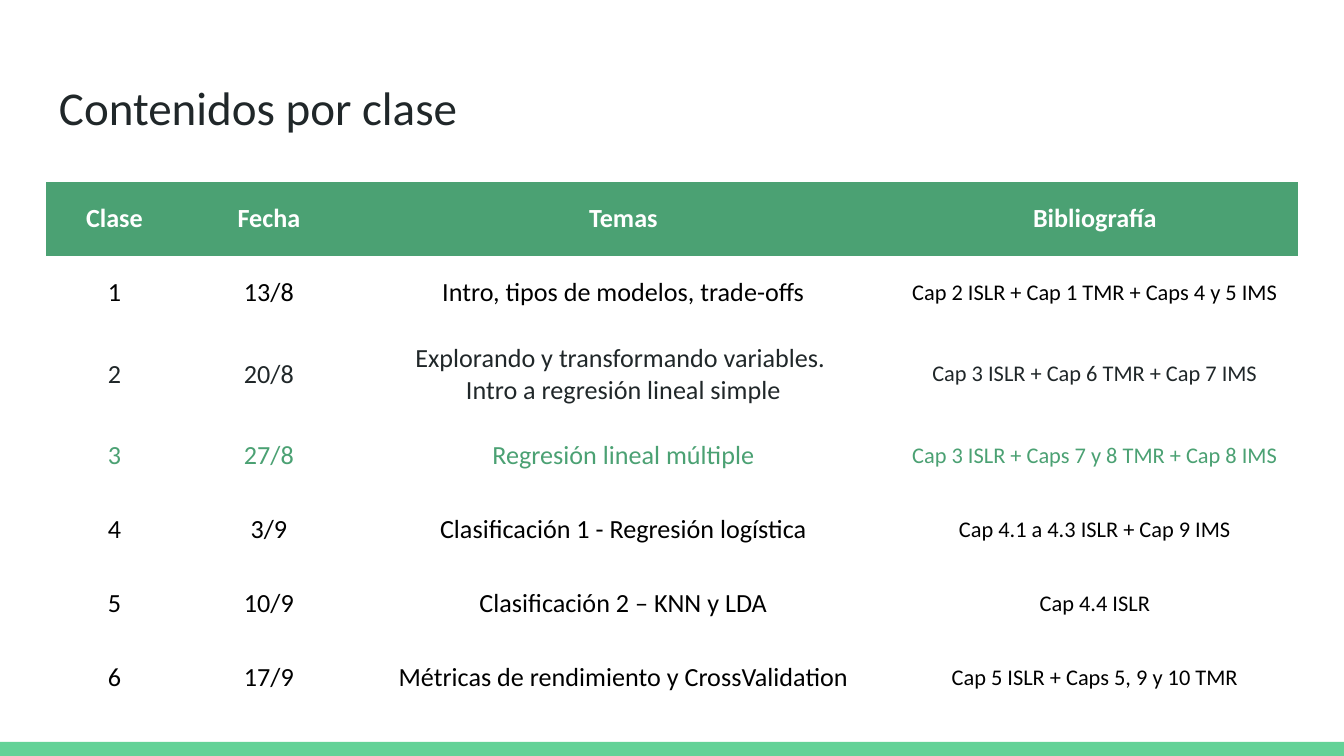
from pptx import Presentation
from pptx.dml.color import RGBColor
from pptx.enum.shapes import MSO_SHAPE
from pptx.enum.text import MSO_ANCHOR, PP_ALIGN
from pptx.oxml.ns import qn
from pptx.util import Emu, Pt

RECTANGLE = MSO_SHAPE.RECTANGLE
MIDDLE = MSO_ANCHOR.MIDDLE
CENTER = PP_ALIGN.CENTER

PX_PER_INCH = 134.4
PAGE_WIDTH, PAGE_HEIGHT = 1344, 756
FONT = "Calibri"
INSET = 13
NO_STYLE_NO_GRID = "{2D5ABB26-0587-4C30-8999-92F81FD0307C}"
COLORS = {
    "page": "FFFFFF",
    "bar": "63D297",
    "accent": "4BA173",
    "dark": "202729",
    "black": "000000",
    "white": "FFFFFF",
}

COLUMN_WIDTHS = [137, 172, 537, 406]
ROW_HEIGHT = 74
HEADERS = ["Clase", "Fecha", "Temas", "Bibliografía"]
# Each class: text colour, then date, topics and reading.
CLASSES = [
    ("black", "13/8", "Intro, tipos de modelos, trade-offs",
     "Cap 2 ISLR + Cap 1 TMR + Caps 4 y 5 IMS"),
    ("dark", "20/8",
     "Explorando y transformando variables. \nIntro a regresión lineal simple",
     "Cap 3 ISLR + Cap 6 TMR + Cap 7 IMS"),
    ("accent", "27/8", "Regresión lineal múltiple",
     "Cap 3 ISLR + Caps 7 y 8 TMR + Cap 8 IMS"),
    ("black", "3/9", "Clasificación 1 - Regresión logística",
     "Cap 4.1 a 4.3 ISLR + Cap 9 IMS"),
    ("black", "10/9", "Clasificación 2 – KNN y LDA", "Cap 4.4 ISLR"),
    ("black", "17/9", "Métricas de rendimiento y CrossValidation",
     "Cap 5 ISLR + Caps 5, 9 y 10 TMR"),
]


def px(length):
    return Emu(round(length * 914400 / PX_PER_INCH))


def color(name):
    return RGBColor.from_string(COLORS[name])


def set_insets(holder):
    """Give a text frame or table cell the same inset on every side."""
    holder.margin_left = holder.margin_right = px(INSET)
    holder.margin_top = holder.margin_bottom = px(INSET)


def format_text(frame, size, color_name, bold=False, align=None):
    for para in frame.paragraphs:
        para.alignment = align
        for span in para.runs:
            span.font.name = FONT
            span.font.size = Pt(size)
            span.font.bold = bold
            span.font.color.rgb = color(color_name)


def add_bottom_bar(page, left, top, width, height):
    bar = page.shapes.add_shape(RECTANGLE, px(left), px(top), px(width), px(height))
    bar.shadow.inherit = False
    bar.fill.solid()
    bar.fill.fore_color.rgb = color("bar")
    bar.line.fill.background()


def add_title(page, left, top, width, height):
    box = page.shapes.add_textbox(px(left), px(top), px(width), px(height))
    frame = box.text_frame
    frame.word_wrap = True
    set_insets(frame)
    frame.text = "Contenidos por clase"
    format_text(frame, 25.2, "dark")


def fill_row(cells, texts, sizes, color_name, fill_name=None, bold=False):
    for cell, text, size in zip(cells, texts, sizes):
        cell.vertical_anchor = MIDDLE
        set_insets(cell)
        if fill_name:
            cell.fill.solid()
            cell.fill.fore_color.rgb = color(fill_name)
        else:
            cell.fill.background()
        cell.text_frame.text = text
        format_text(cell.text_frame, size, color_name, bold, CENTER)


def add_schedule(page, left, top):
    row_count = len(CLASSES) + 1
    table = page.shapes.add_table(
        row_count, len(HEADERS), px(left), px(top),
        px(sum(COLUMN_WIDTHS)), px(row_count * ROW_HEIGHT)).table
    table.first_row = table.horz_banding = False
    table._tbl.tblPr.find(qn("a:tableStyleId")).text = NO_STYLE_NO_GRID
    for column, width in zip(table.columns, COLUMN_WIDTHS):
        column.width = px(width)
    for row in table.rows:
        row.height = px(ROW_HEIGHT)

    fill_row(table.rows[0].cells, HEADERS, [14] * 4, "white", "accent", bold=True)
    for number, (color_name, *texts) in enumerate(CLASSES, start=1):
        fill_row(table.rows[number].cells, [str(number), *texts],
                 [14, 14, 14, 12], color_name)


def main():
    deck = Presentation()
    deck.slide_width, deck.slide_height = px(PAGE_WIDTH), px(PAGE_HEIGHT)
    page = deck.slides.add_slide(deck.slide_layouts[6])
    page.background.fill.solid()
    page.background.fill.fore_color.rgb = color("page")
    add_bottom_bar(page, 0, 742, PAGE_WIDTH, 14)
    add_title(page, 46, 66, 1252, 85)
    add_schedule(page, 46, 182)
    deck.save("out.pptx")


if __name__ == "__main__":
    main()
